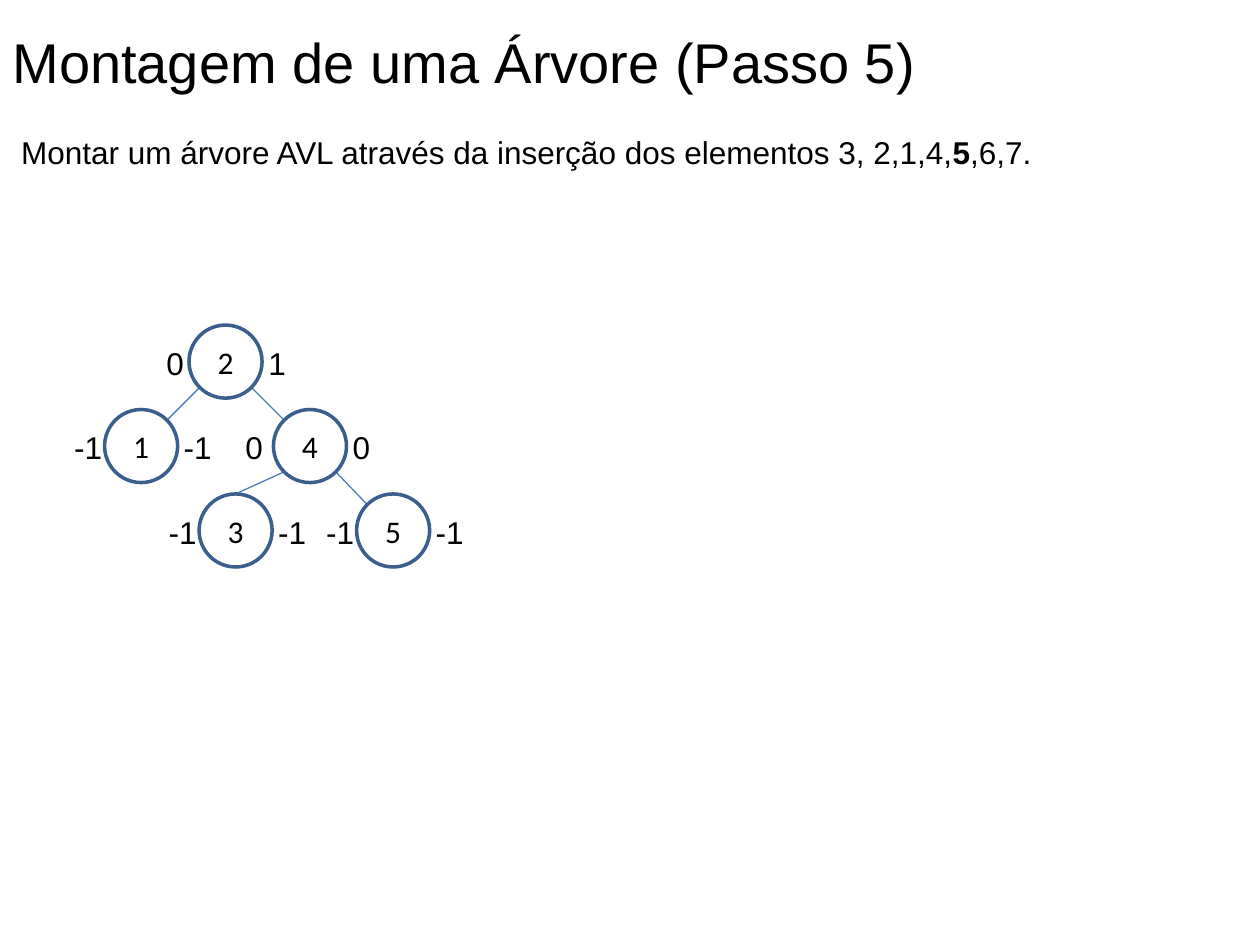
from math import sqrt

from lxml import etree
from pptx import Presentation
from pptx.dml.color import RGBColor
from pptx.enum import shapes, text
from pptx.oxml.ns import qn
from pptx.util import Inches, Pt

BLACK = RGBColor(0x00, 0x00, 0x00)
NODE_BLUE = RGBColor(0x3A, 0x5F, 0x8C)
EDGE_BLUE = RGBColor(0x4B, 0x7E, 0xBC)

TITLE = "Montagem de uma Árvore (Passo 5)"
TASK = [
    (" Montar um árvore AVL através da inserção dos elementos 3, 2,1,4,", False),
    ("5", True),
    (",6,7.", False),
]

# key: (left, level, left height, right height)
NODES = {
    "2": (1.5, 0, "0", "1"),
    "1": (0.83, 1, "-1", "-1"),
    "4": (2.17, 1, "0", "0"),
    "3": (1.58, 2, "-1", "-1"),
    "5": (2.83, 2, "-1", "-1"),
}
# parent, corner of the parent, child, corner of the child
EDGES = [
    ("2", "bottom left", "1", "top right"),
    ("2", "bottom right", "4", "top left"),
    ("4", "bottom left", "3", "top"),
    ("4", "bottom right", "5", "top left"),
]

DIAMETER = 0.58
TREE_TOP = 2.58
LEVEL_STEP = 0.67
LABEL_DROP = 0.1
LABEL_HEIGHT = 0.4
RIGHT_LABEL_SHIFT = 0.53
# label: (width, shift of the left label from its node)
LABELS = {"-1": (0.43, -0.34), "0": (0.34, -0.32), "1": (0.34, -0.32)}
ROOT_LABEL_SHIFT = -0.28

DIAGONAL = 1 / sqrt(2)
CORNERS = {
    "top": (0, -1),
    "top left": (-DIAGONAL, -DIAGONAL),
    "top right": (DIAGONAL, -DIAGONAL),
    "bottom left": (-DIAGONAL, DIAGONAL),
    "bottom right": (DIAGONAL, DIAGONAL),
}


def node_top(key):
    return TREE_TOP + NODES[key][1] * LEVEL_STEP


def rim_point(key, corner):
    """Return the point of a node's circle that lies towards a corner."""
    radius = DIAMETER / 2
    across, down = CORNERS[corner]
    return (Inches(NODES[key][0] + radius * (1 + across)),
            Inches(node_top(key) + radius * (1 + down)))


def format_run(run, size, font="Arial", bold=False):
    run.font.size = Pt(size)
    run.font.name = font
    run.font.bold = bold
    run.font.color.rgb = BLACK


def add_text(container, box, runs, size, wrap=False, alignment=text.PP_ALIGN.LEFT):
    frame = container.add_textbox(*map(Inches, box)).text_frame
    frame.word_wrap = wrap
    paragraph = frame.paragraphs[0]
    paragraph.alignment = alignment
    for content, bold in runs:
        run = paragraph.add_run()
        run.text = content
        format_run(run, size, bold=bold)


def add_edge(container, parent, start, child, end):
    edge = container.add_connector(
        shapes.MSO_CONNECTOR.STRAIGHT, *rim_point(parent, start), *rim_point(child, end))
    edge.line.color.rgb = EDGE_BLUE
    edge.line.width = Pt(0.75)
    etree.SubElement(edge._element.spPr, qn("a:effectLst"))


def add_node(container, key):
    left, level, left_label, right_label = NODES[key]
    top = node_top(key)
    circle = container.add_shape(
        shapes.MSO_SHAPE.OVAL, *map(Inches, (left, top, DIAMETER, DIAMETER)))
    circle.shadow.inherit = False
    circle.fill.background()
    circle.line.color.rgb = NODE_BLUE
    circle.line.width = Pt(2)
    frame = circle.text_frame
    frame.text = key
    frame.vertical_anchor = text.MSO_ANCHOR.MIDDLE
    paragraph = frame.paragraphs[0]
    paragraph.alignment = text.PP_ALIGN.CENTER
    format_run(paragraph.runs[0], 18, "Calibri")

    is_root = level == 0
    left_shift = ROOT_LABEL_SHIFT if is_root else LABELS[left_label][1]
    alignment = text.PP_ALIGN.CENTER if is_root else text.PP_ALIGN.LEFT
    for label, shift in ((left_label, left_shift), (right_label, RIGHT_LABEL_SHIFT)):
        box = (left + shift, top + LABEL_DROP, LABELS[label][0], LABEL_HEIGHT)
        add_text(container, box, [(label, False)], 18, alignment=alignment)


def main():
    presentation = Presentation()
    presentation.slide_width = Inches(10)
    presentation.slide_height = Inches(7.5)
    slide = presentation.slides.add_slide(presentation.slide_layouts[6])

    add_text(slide.shapes, (0, 0.17, 7.55, 1.18), [(TITLE, False)], 32)
    add_text(slide.shapes, (0, 1.01, 9.83, 0.4), TASK, 18, wrap=True)

    tree = slide.shapes.add_group_shape().shapes
    for edge in EDGES:
        add_edge(tree, *edge)
    for key in NODES:
        add_node(tree, key)

    presentation.save("out.pptx")


if __name__ == "__main__":
    main()
